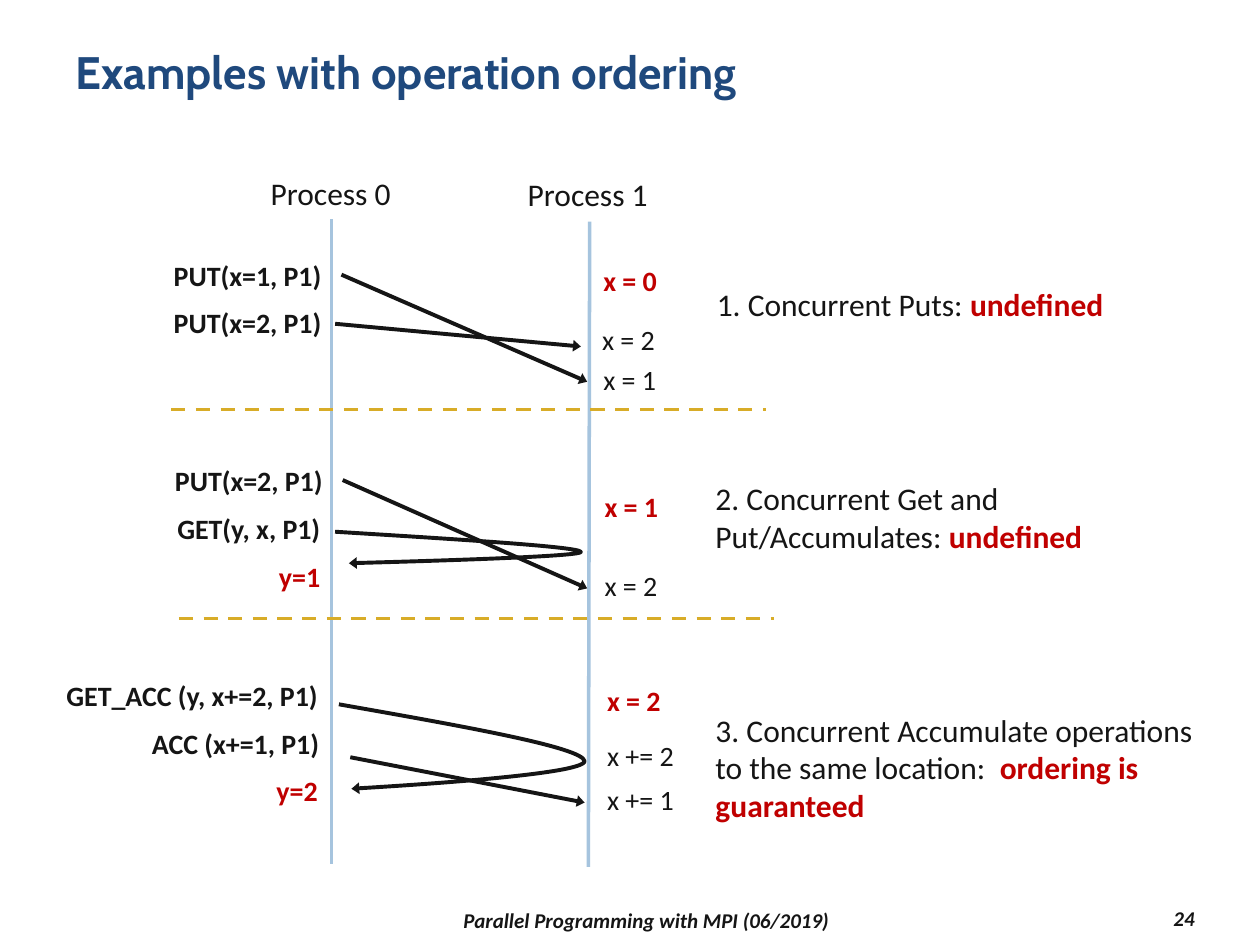
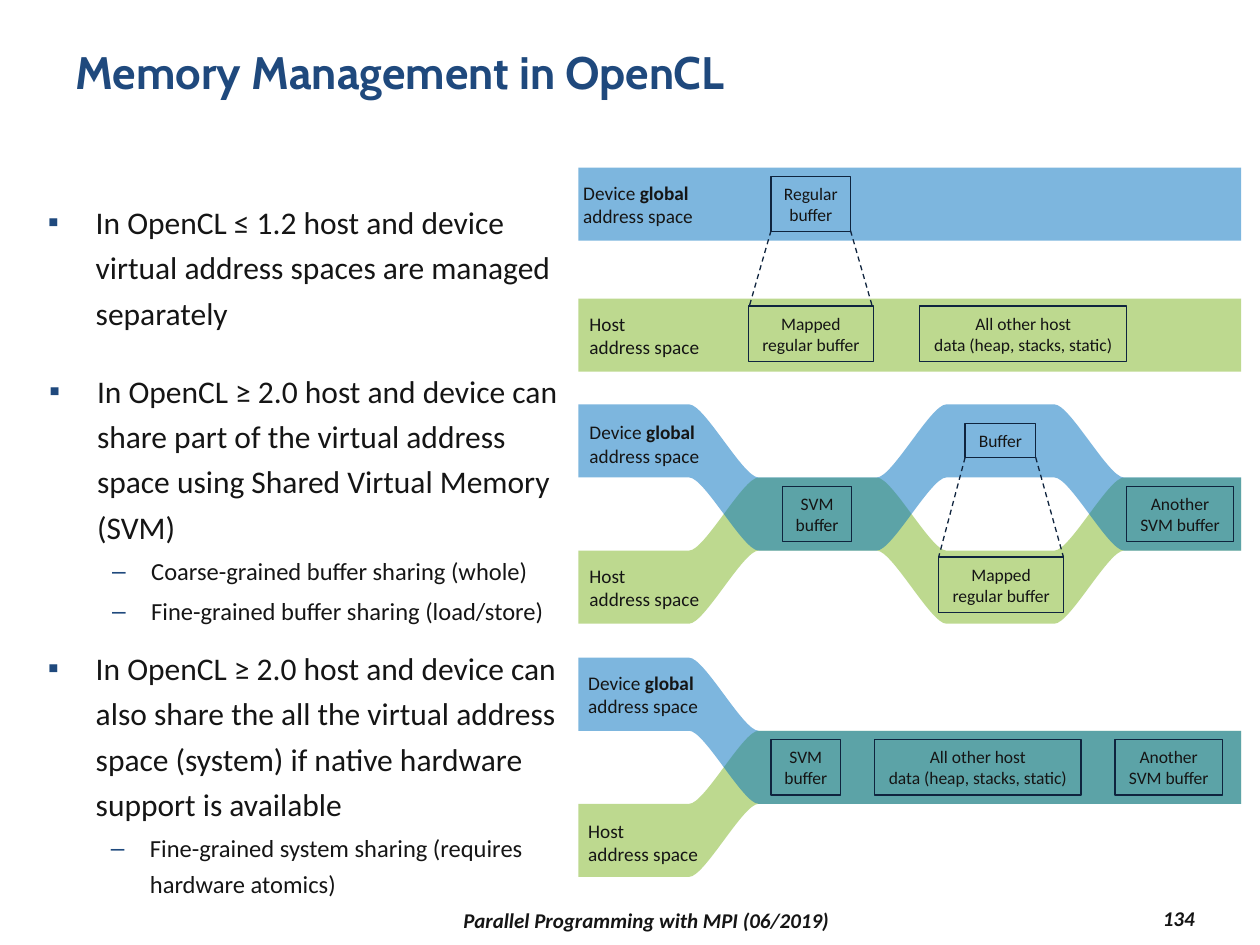
"""Build two slides on MPI operation ordering and OpenCL memory management."""
from lxml import etree
from pptx import Presentation
from pptx.dml.color import RGBColor
from pptx.enum.dml import MSO_LINE
from pptx.enum.shapes import MSO_CONNECTOR, MSO_SHAPE
from pptx.enum.text import MSO_ANCHOR, MSO_AUTO_SIZE, PP_ALIGN
from pptx.oxml.ns import qn
from pptx.util import Inches, Pt

NAVY = RGBColor(0x1F, 0x49, 0x7D)
INK = RGBColor(0x15, 0x15, 0x15)
RED = RGBColor(0xC0, 0x00, 0x00)
TIMELINE = RGBColor(0xA6, 0xC4, 0xDE)
GOLD = RGBColor(0xD8, 0xAC, 0x28)
BOX_LINE = RGBColor(0x0F, 0x24, 0x3E)
DEVICE_BLUE = RGBColor(0x00, 0x70, 0xC0)
HOST_GREEN = RGBColor(0x7C, 0xB5, 0x21)
LEFT, CENTER, RIGHT = PP_ALIGN.LEFT, PP_ALIGN.CENTER, PP_ALIGN.RIGHT
TOP, MIDDLE = MSO_ANCHOR.TOP, MSO_ANCHOR.MIDDLE
DASH = MSO_LINE.DASH
BODY_FONT = "Calibri"


def write_text(shape, lines, size, color=INK, bold=False, alignment=LEFT, wrap=False, emphasis=INK):
    """Write lines of runs; every run after the first in a line is emphasised."""
    frame = shape.text_frame
    frame.word_wrap = wrap
    for index, line in enumerate(lines):
        paragraph = frame.paragraphs[0] if index == 0 else frame.add_paragraph()
        paragraph.alignment = alignment
        for position, text in enumerate(line):
            run = paragraph.add_run()
            run.text = text
            run.font.name = BODY_FONT
            run.font.size = Pt(size)
            run.font.bold = bold or position > 0
            run.font.color.rgb = emphasis if position else color


def draw_outline(slide, points, segment_sizes, closed):
    """Draw a freeform; a segment of one point is straight, one of three is a cubic curve."""
    corners = [(Inches(x), Inches(y)) for x, y in points]
    builder = slide.shapes.build_freeform(*corners[0])
    builder.add_line_segments(corners[1:], close=closed)
    shape = builder.convert_to_shape()
    shape.shadow.inherit = False
    steps = iter(list(shape._element.iter(qn("a:lnTo"))))
    for segment_size in segment_sizes:
        segment = [next(steps) for _ in range(segment_size)]
        if segment_size == 3:
            curve = etree.Element(qn("a:cubicBezTo"))
            segment[0].addprevious(curve)
            for step in segment:
                curve.append(step[0])
                step.getparent().remove(step)
    return shape


presentation = Presentation()
presentation.slide_width = Inches(10)
presentation.slide_height = Inches(7.5)
ordering = presentation.slides.add_slide(presentation.slide_layouts[5])
memory = presentation.slides.add_slide(presentation.slide_layouts[4])

for slide, title_text, number in [
    (ordering, "Examples with operation ordering", "24"),
    (memory, "Memory Management in OpenCL", "134"),
]:
    title = slide.shapes.title
    title.left, title.top, title.width, title.height = map(Inches, (0.5, 0.3, 9, 0.87))
    title.text_frame.text = title_text
    title.text_frame.vertical_anchor = TOP
    title.text_frame.auto_size = MSO_AUTO_SIZE.NONE
    paragraph = title.text_frame.paragraphs[0]
    paragraph.alignment = LEFT
    font = paragraph.runs[0].font
    font.name, font.size, font.bold = "Cabin", Pt(26), True
    font.color.rgb = NAVY
    for place, text, alignment in [
        ((2.17, 7.17, 5.92, 0.27), "Parallel Programming with MPI (06/2019)", CENTER),
        ((8.5, 7.15, 1.08, 0.27), number, RIGHT),
    ]:
        footer = slide.shapes.add_textbox(*map(Inches, place))
        write_text(footer, [[text]], 12, bold=True, alignment=alignment, wrap=True)
        footer.text_frame.vertical_anchor = MIDDLE
        footer.text_frame.paragraphs[0].runs[0].font.italic = True

BAND_LEFT, BAND_RIGHT, BAND_HEIGHT = 4.59, 9.85, 0.58
RAMP_STARTS, RAMP_WIDTH = (5.47, 6.96, 8.37), 0.55
for color, opacity, levels in [
    (HOST_GREEN, 50, [4.37, 3.79, 4.37, 3.79]),
    (DEVICE_BLUE, 51, [3.21, 3.79, 3.21, 3.79]),
    (HOST_GREEN, 50, [6.38, 5.8]),
    (DEVICE_BLUE, 51, [5.22, 5.8]),
    (HOST_GREEN, 50, [2.37]),
    (DEVICE_BLUE, 51, [1.33]),
]:
    top_edge = [(BAND_LEFT, levels[0])]
    for ramp_start, before, after in zip(RAMP_STARTS, levels, levels[1:]):
        for share, level in [(0, before), (0.22, before), (0.78, after), (1, after)]:
            top_edge.append((ramp_start + RAMP_WIDTH * share, level))
    top_edge.append((BAND_RIGHT, levels[-1]))
    bottom_edge = [(x, y + BAND_HEIGHT) for x, y in reversed(top_edge)]
    edge_sizes = [1, 3] * (len(levels) - 1) + [1]
    band = draw_outline(memory, top_edge + bottom_edge, edge_sizes + [1] + edge_sizes, True)
    band.fill.solid()
    band.fill.fore_color.rgb = color
    band.line.fill.background()
    color_element = band._element.spPr.find(qn("a:solidFill"))[0]
    etree.SubElement(color_element, qn("a:alpha"), val=str(opacity * 1000))

arrows = []
for points in [
    [(2.66, 4.22), (3.63, 4.28), (4.6, 4.34), (4.61, 4.38), (4.63, 4.42), (2.77, 4.47), (2.77, 4.47)],
    [(2.69, 5.59), (3.65, 5.76), (4.62, 5.93), (4.64, 6.04), (4.65, 6.15), (2.79, 6.26), (2.79, 6.26)],
]:
    round_trip = draw_outline(ordering, points, [3, 3], False)
    round_trip.fill.background()
    round_trip.line.color.rgb = INK
    round_trip.line.width = Pt(2.25)
    arrows.append(round_trip)

for slide, color, width, dash, ends in [
    (ordering, TIMELINE, 2, None, [(2.63, 1.74, 2.63, 6.86), (4.68, 1.76, 4.67, 6.88)]),
    (ordering, GOLD, 2, DASH, [(1.36, 3.25, 6.08, 3.25), (1.42, 4.91, 6.14, 4.91)]),
    (ordering, INK, 2.25, None, [
        (2.71, 2.18, 4.66, 3.03), (2.66, 2.57, 4.61, 2.75),
        (2.72, 3.81, 4.66, 4.67), (2.78, 6.01, 4.64, 6.37),
    ]),
    (memory, BOX_LINE, 0.75, DASH, [
        (6.12, 1.83, 5.95, 2.42), (6.75, 1.83, 6.92, 2.42),
        (7.66, 3.63, 7.45, 4.42), (8.22, 3.63, 8.44, 4.42),
    ]),
]:
    for end in ends:
        connector = slide.shapes.add_connector(MSO_CONNECTOR.STRAIGHT, *map(Inches, end))
        connector.line.color.rgb = color
        connector.line.width = Pt(width)
        if dash:
            connector.line.dash_style = dash
        etree.SubElement(connector._element.spPr, qn("a:effectLst"))
        if color == INK:
            arrows.append(connector)

for arrow in arrows:
    line = arrow._element.spPr.find(qn("a:ln"))
    etree.SubElement(line, qn("a:tailEnd"), type="triangle", w="med", len="sm")

for left, top, width, text, size, color, bold, alignment in [
    (2.05, 1.33, 1.17, "Process 0", 18, INK, False, LEFT),
    (4.09, 1.34, 1.17, "Process 1", 18, INK, False, LEFT),
    (1.27, 2, 1.39, "PUT(x=1, P1)", 16, INK, True, CENTER),
    (1.27, 2.38, 1.39, "PUT(x=2, P1)", 16, INK, True, CENTER),
    (4.69, 2.04, 0.75, "x = 0", 16, RED, True, LEFT),
    (4.68, 2.51, 0.63, "x = 2", 16, INK, False, LEFT),
    (4.69, 2.83, 0.63, "x = 1", 16, INK, False, LEFT),
    (1.28, 3.63, 1.39, "PUT(x=2, P1)", 16, INK, True, CENTER),
    (1.29, 4.01, 1.37, "GET(y, x, P1)", 16, INK, True, CENTER),
    (2.09, 4.39, 0.55, "y=1", 16, RED, True, RIGHT),
    (4.7, 3.84, 0.75, "x = 1", 16, RED, True, LEFT),
    (4.7, 4.46, 0.63, "x = 2", 16, INK, False, LEFT),
    (0.38, 5.34, 2.29, "GET_ACC (y, x+=2, P1)", 16, INK, True, CENTER),
    (1.09, 5.72, 1.56, "ACC (x+=1, P1)", 16, INK, True, CENTER),
    (2.07, 6.09, 0.55, "y=2", 16, RED, True, RIGHT),
    (4.72, 5.38, 0.75, "x = 2", 16, RED, True, LEFT),
    (4.72, 5.81, 0.74, "x += 2", 16, INK, False, LEFT),
    (4.72, 6.16, 0.74, "x += 1", 16, INK, False, LEFT),
]:
    label = ordering.shapes.add_textbox(Inches(left), Inches(top), Inches(width), Inches(0.37))
    write_text(label, [[text]], size, color, bold, alignment)

for place, runs in [
    ((5.59, 2.21, 3.98, 0.4), ["1. Concurrent Puts: ", "undefined"]),
    ((5.58, 3.75, 3.98, 0.71), ["2. Concurrent Get and Put/Accumulates: ", "undefined"]),
    ((5.58, 5.59, 4.25, 1.01), [
        "3. Concurrent Accumulate operations to the same location: ", " ordering is guaranteed"]),
]:
    conclusion = ordering.shapes.add_textbox(*map(Inches, place))
    write_text(conclusion, [runs], 18, wrap=True, emphasis=RED)

HOST = [["Host"], ["address space"]]
DEVICE = [["Device ", "global"], ["address space"]]
for left, top, lines in [
    (4.53, 1.39, DEVICE), (4.58, 2.43, HOST),
    (4.58, 3.29, DEVICE), (4.58, 4.43, HOST),
    (4.57, 5.28, DEVICE), (4.57, 6.45, HOST),
]:
    space_label = memory.shapes.add_textbox(Inches(left), Inches(top), Inches(1.08), Inches(0.47))
    write_text(space_label, lines, 11)

REGULAR = [["Regular"], ["buffer"]]
MAPPED = [["Mapped"], ["regular buffer"]]
OTHER_DATA = [["All other host"], ["data (heap, stacks, static)"]]
SVM = [["SVM"], ["buffer"]]
ANOTHER_SVM = [["Another"], ["SVM buffer"]]
for left, top, width, lines in [
    (6.12, 1.4, 0.63, REGULAR), (5.94, 2.43, 0.99, MAPPED), (7.3, 2.43, 1.64, OTHER_DATA),
    (6.21, 3.86, 0.55, SVM), (7.66, 3.36, 0.56, [["Buffer"]]),
    (7.45, 4.42, 0.99, MAPPED), (8.94, 3.86, 0.85, ANOTHER_SVM),
    (6.12, 5.87, 0.55, SVM), (6.94, 5.87, 1.64, OTHER_DATA), (8.85, 5.87, 0.85, ANOTHER_SVM),
]:
    height = 0.1 + 0.17 * len(lines)
    buffer_box = memory.shapes.add_shape(
        MSO_SHAPE.RECTANGLE, Inches(left), Inches(top), Inches(width), Inches(height))
    buffer_box.shadow.inherit = False
    buffer_box.fill.background()
    buffer_box.line.color.rgb = BOX_LINE
    buffer_box.line.width = Pt(0.75)
    write_text(buffer_box, lines, 10, alignment=CENTER)

LEVEL_STYLES = [(18, "▪", 0.38, -0.38), (14, "–", 0.81, -0.31)]
title, *bodies, spare = memory.placeholders
spare._element.getparent().remove(spare._element)
for body, place, items in zip(bodies, [
    (0.28, 1.5, 4.25, 1.39), (0.29, 2.84, 4.25, 2.2), (0.28, 5.04, 4.25, 2.11),
], [
    ["In OpenCL ≤ 1.2 host and device virtual address spaces are managed separately"],
    ["In OpenCL ≥ 2.0 host and device can share part of the virtual address space "
     "using Shared Virtual Memory (SVM)",
     "Coarse-grained buffer sharing (whole)",
     "Fine-grained buffer sharing (load/store)"],
    ["In OpenCL ≥ 2.0 host and device can also share the all the virtual address space "
     "(system) if native hardware support is available",
     "Fine-grained system sharing (requires hardware atomics)"],
]):
    body.left, body.top, body.width, body.height = map(Inches, place)
    frame = body.text_frame
    frame.word_wrap = True
    frame.auto_size = MSO_AUTO_SIZE.NONE
    frame.vertical_anchor = TOP
    for index, item in enumerate(items):
        paragraph = frame.paragraphs[0] if index == 0 else frame.add_paragraph()
        paragraph.text = item
        paragraph.level = min(index, 1)
        size, bullet, margin, indent = LEVEL_STYLES[paragraph.level]
        paragraph.line_spacing = 1.2
        paragraph.space_before = Pt(0.2 * size if index else 0)
        properties = paragraph._p.get_or_add_pPr()
        properties.set("marL", str(Inches(margin)))
        properties.set("indent", str(Inches(indent)))
        bullet_color = etree.SubElement(properties, qn("a:buClr"))
        etree.SubElement(bullet_color, qn("a:srgbClr"), val=str(NAVY))
        etree.SubElement(properties, qn("a:buChar"), char=bullet)
        font = paragraph.runs[0].font
        font.name, font.size, font.bold = BODY_FONT, Pt(size), False
        font.color.rgb = INK

presentation.save("out.pptx")
